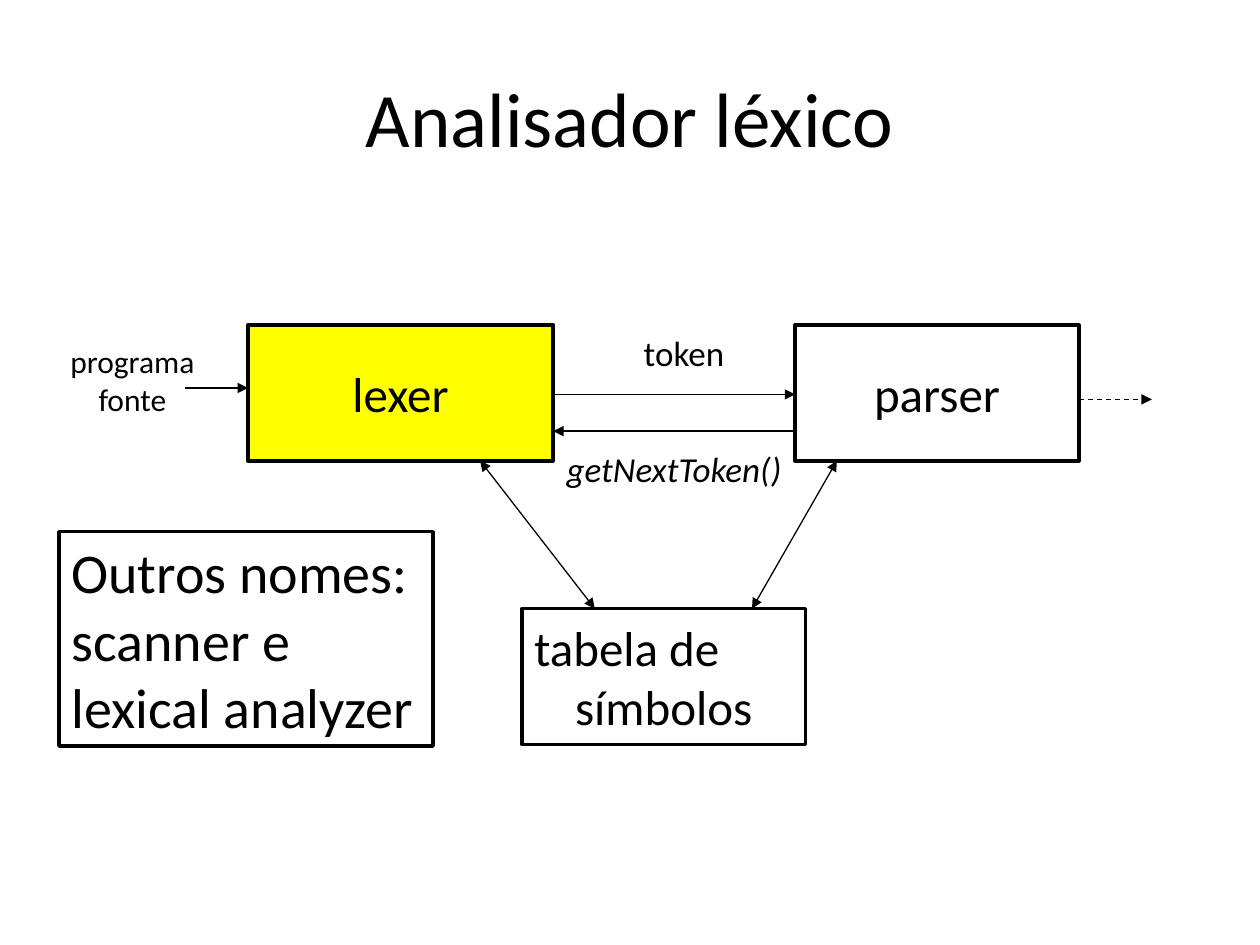
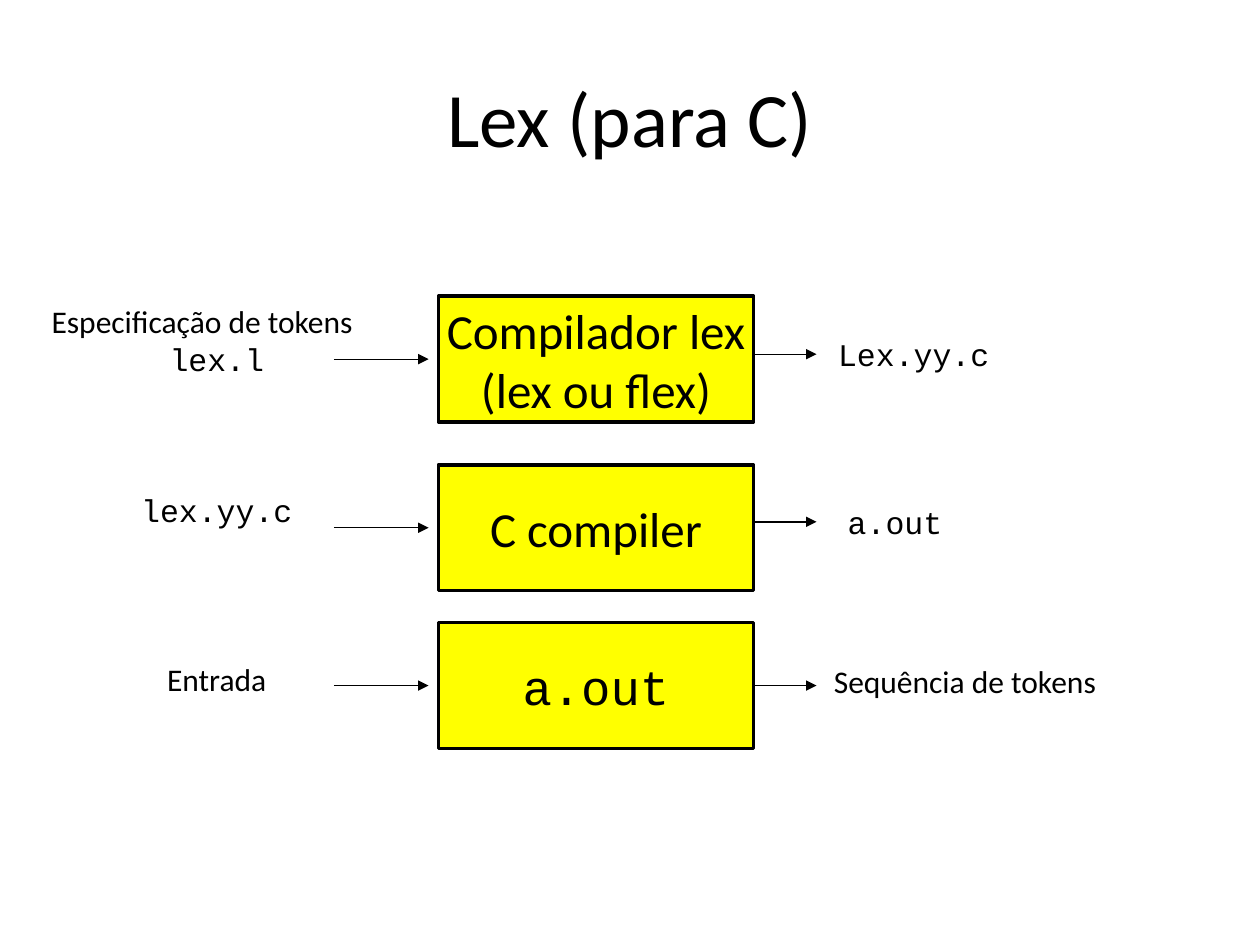
from lxml import etree
from pptx import Presentation
from pptx.dml.color import RGBColor
from pptx.enum.dml import MSO_LINE
from pptx.enum.shapes import MSO_CONNECTOR, MSO_SHAPE
from pptx.enum.text import MSO_ANCHOR, PP_ALIGN
from pptx.oxml.ns import qn
from pptx.util import Cm, Pt

# Shared look
BLACK = RGBColor(0x00, 0x00, 0x00)
WHITE = RGBColor(0xFF, 0xFF, 0xFF)
YELLOW = RGBColor(0xFF, 0xFF, 0x00)
SANS, MONO = "Calibri", "Courier New"
LEFT, CENTER = PP_ALIGN.LEFT, PP_ALIGN.CENTER
TOP, MIDDLE = MSO_ANCHOR.TOP, MSO_ANCHOR.MIDDLE
RECTANGLE, STRAIGHT = MSO_SHAPE.RECTANGLE, MSO_CONNECTOR.STRAIGHT
DASH = MSO_LINE.DASH
BLANK_LAYOUT = 6


def write(shape, lines, size, font=SANS, align=CENTER, anchor=TOP, wrap=True):
    """Fill a shape with one paragraph per line of text."""
    frame = shape.text_frame
    frame.word_wrap = wrap
    frame.vertical_anchor = anchor
    frame.text = "\n".join(lines)
    for paragraph in frame.paragraphs:
        paragraph.alignment = align
        paragraph.font.name = font
        paragraph.font.size = Pt(size)
        paragraph.font.color.rgb = BLACK
    return frame.paragraphs


def add_label(slide, area, lines, size=18, **text_style):
    box = slide.shapes.add_textbox(*map(Cm, area))
    return write(box, lines, size, **text_style)


def add_box(slide, area, lines, fill=WHITE, size=28, anchor=MIDDLE,
            wrap=False, **text_style):
    box = slide.shapes.add_shape(RECTANGLE, *map(Cm, area))
    box.shadow.inherit = False
    box.fill.solid()
    box.fill.fore_color.rgb = fill
    box.line.color.rgb = BLACK
    box.line.width = Pt(2)
    return write(box, lines, size, anchor=anchor, wrap=wrap, **text_style)


def add_arrow(slide, start, end, both_ends=False, dash=None):
    arrow = slide.shapes.add_connector(STRAIGHT, *map(Cm, start + end))
    arrow.line.color.rgb = BLACK
    arrow.line.width = Pt(0.74)
    if dash:
        arrow.line.dash_style = dash
    properties = arrow._element.spPr
    line = properties.find(qn("a:ln"))
    for tag in ("a:headEnd", "a:tailEnd") if both_ends else ("a:tailEnd",):
        etree.SubElement(line, qn(tag), type="triangle")
    etree.SubElement(properties, qn("a:effectLst"))


def add_titled_slide(presentation, title):
    slide = presentation.slides.add_slide(
        presentation.slide_layouts[BLANK_LAYOUT])
    add_label(slide, (1.27, 0.76, 22.86, 3.18), [title], 44, anchor=MIDDLE)
    return slide


def build_lexer_slide(presentation):
    slide = add_titled_slide(presentation, "Analisador léxico")

    # Components
    top, height = 6.55, 2.74
    bottom = top + height
    lexer_right, parser_left, parser_width = 11.15, 16.03, 5.72
    table_top = 12.27
    add_box(slide, (5, top, lexer_right - 5, height), ["lexer"], YELLOW)
    add_box(slide, (parser_left, top, parser_width, height), ["parser"])
    table_lines = add_box(slide, (10.52, table_top, parser_width, height),
                          ["tabela de", "símbolos"], wrap=True)
    table_lines[0].alignment = LEFT
    add_box(slide, (1.19, 10.72, 7.54, 4.32),
            ["Outros nomes: scanner e lexical analyzer"],
            size=32, align=LEFT, anchor=TOP, wrap=True)

    # Labels
    add_label(slide, (0.97, 6.78, 3.4, 1.78), ["programa", "fonte"])
    add_label(slide, (12.42, top, 2.74, 1.09), ["token"], 20)
    call = add_label(slide, (lexer_right, 8.89, parser_left - lexer_right, 1.09),
                     ["getNextToken()"], 20)
    call[0].font.italic = True

    # Data flow
    add_arrow(slide, (3.73, 7.82), (5, 7.82))
    add_arrow(slide, (lexer_right, 7.95), (parser_left, 7.95))
    add_arrow(slide, (parser_left, 8.69), (lexer_right, 8.69))
    add_arrow(slide, (21.75, 8.05), (23.22, 8.05), dash=DASH)

    # Access to the symbol table
    add_arrow(slide, (11.99, table_top), (9.68, bottom), both_ends=True)
    add_arrow(slide, (15.16, table_top), (16.87, bottom), both_ends=True)


def build_lex_slide(presentation):
    slide = add_titled_slide(presentation, "Lex (para C)")
    box_left, box_width, box_height = 8.84, 6.35, 2.54
    box_right = box_left + box_width

    # Each stage: box top, box text and font, height of the output arrow
    stages = [
        (5.97, ["Compilador lex", "(lex ou flex)"], SANS, 7.14),
        (9.37, ["C compiler"], SANS, 10.52),
        (12.55, ["a.out"], MONO, 13.82),
    ]
    for top, lines, font, output_y in stages:
        add_box(slide, (box_left, top, box_width, box_height), lines, YELLOW,
                font=font)
        input_y = top + box_height / 2
        add_arrow(slide, (6.73, input_y), (8.64, input_y))
        add_arrow(slide, (box_right, output_y), (box_right + 1.27, output_y))

    # Inputs: the first has a caption above its file name
    inputs = [
        (5.97, ["Especificação de tokens", "lex.l"], MONO),
        (9.78, ["lex.yy.c"], MONO),
        (13.18, ["Entrada"], SANS),
    ]
    for top, lines, font in inputs:
        paragraphs = add_label(slide, (0.79, top, 7.16, 1.02 * len(lines)),
                               lines, font=font)
        if len(lines) > 1:
            paragraphs[0].font.name = SANS
            paragraphs[0].alignment = LEFT

    # Outputs
    outputs = [
        (15.88, 6.63, 5.08, "Lex.yy.c", MONO, CENTER),
        (16.84, 10.01, 5.08, "a.out", MONO, LEFT),
        (16.56, 13.23, 7.62, "Sequência de tokens", SANS, LEFT),
    ]
    for left, top, width, text, font, align in outputs:
        add_label(slide, (left, top, width, 1.02), [text], font=font,
                  align=align)


def main():
    presentation = Presentation()
    presentation.slide_width = Cm(25.4)
    presentation.slide_height = Cm(19.05)
    build_lexer_slide(presentation)
    build_lex_slide(presentation)
    presentation.save("out.pptx")


main()
